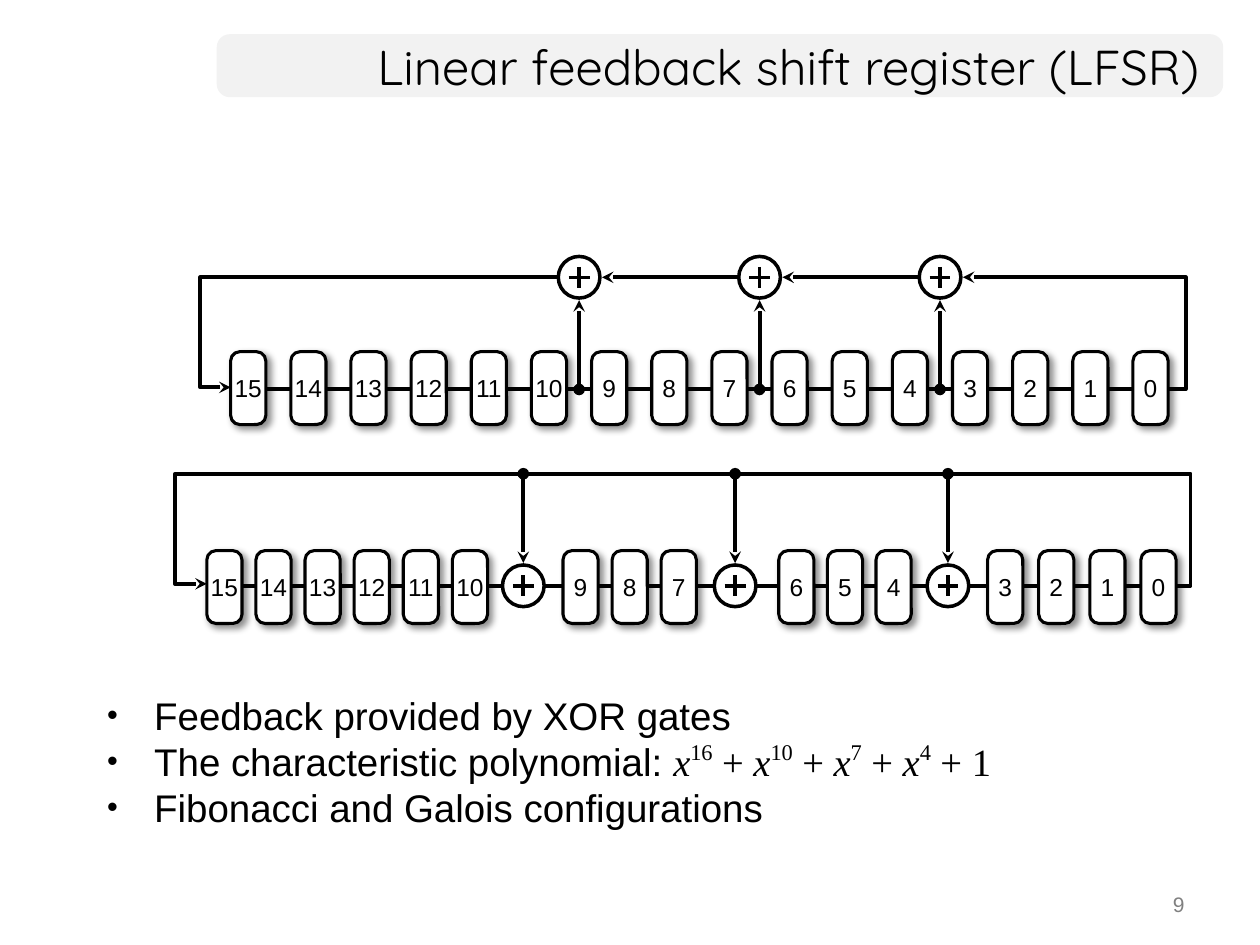
from lxml import etree
from pptx import Presentation
from pptx.dml.color import RGBColor
from pptx.enum.shapes import MSO_CONNECTOR, MSO_SHAPE
from pptx.enum.text import MSO_ANCHOR, PP_ALIGN
from pptx.oxml.ns import qn
from pptx.util import Cm, Pt

BLACK = RGBColor(0x00, 0x00, 0x00)
WHITE = RGBColor(0xFF, 0xFF, 0xFF)
GREY = RGBColor(0x80, 0x80, 0x80)
BAND = RGBColor(0xF2, 0xF2, 0xF2)

ROUND_RECT, OVAL = MSO_SHAPE.ROUNDED_RECTANGLE, MSO_SHAPE.OVAL
STRAIGHT = MSO_CONNECTOR.STRAIGHT
CENTER, RIGHT = PP_ALIGN.CENTER, PP_ALIGN.RIGHT
MIDDLE = MSO_ANCHOR.MIDDLE

# Register parts, in cm
CELL_W, CELL_H = 0.71, 1.47
XOR_R, PLUS_R = 0.42, 0.21
ARROW_GAP = 0.04

BODY = dict(name="Arial", size=Pt(22))
MATH = dict(name="Times New Roman", size=Pt(22))
CELL_FONT = dict(name="Arial", size=Pt(14))


def add_run(p, text, font, color=BLACK):
    r = p.add_run()
    r.text = text
    for key, value in font.items():
        setattr(r.font, key, value)
    r.font.color.rgb = color
    return r


def set_frame(tf, left=0, right=0, wrap=True):
    margins = dict(margin_left=Cm(left), margin_right=Cm(right),
                   margin_top=0, margin_bottom=0)
    for key, value in dict(margins, word_wrap=wrap, vertical_anchor=MIDDLE).items():
        setattr(tf, key, value)
    return tf.paragraphs[0]


def add_wire(shapes, points, head=None, tail=None, width=2.25):
    """Draw a line through points given in cm, with optional end marks."""
    pts = [(Cm(x), Cm(y)) for x, y in points]
    if len(pts) == 2:
        wire = shapes.add_connector(STRAIGHT, *pts[0], *pts[1])
    else:
        builder = shapes.build_freeform(*pts[0])
        builder.add_line_segments(pts[1:], close=False)
        wire = builder.convert_to_shape()
        wire.fill.background()
    wire.line.color.rgb = BLACK
    wire.line.width = Pt(width)
    spPr = wire.element.spPr
    ln = spPr.find(qn("a:ln"))
    for tag, mark in (("a:headEnd", head), ("a:tailEnd", tail)):
        if mark:
            etree.SubElement(ln, qn(tag), type=mark)
    etree.SubElement(spPr, qn("a:effectLst"))


def add_outlined(shapes, kind, x, y, w, h, width):
    sp = shapes.add_shape(kind, Cm(x), Cm(y), Cm(w), Cm(h))
    sp.shadow.inherit = False
    sp.fill.solid()
    sp.fill.fore_color.rgb = WHITE
    sp.line.color.rgb = BLACK
    sp.line.width = Pt(width)
    return sp


def add_cell(shapes, x, y, bit):
    sp = add_outlined(shapes, ROUND_RECT, x, y, CELL_W, CELL_H, 1.75)
    sp.adjustments[0] = 0.262
    effects = sp.element.spPr.find(qn("a:effectLst"))
    shadow = etree.SubElement(effects, qn("a:outerShdw"), blurRad=str(Pt(4)),
                              dist=str(Pt(3)), dir="2700000", algn="tl",
                              rotWithShape="0")
    color = etree.SubElement(shadow, qn("a:srgbClr"), val=str(BLACK))
    etree.SubElement(color, qn("a:alpha"), val="43000")
    p = set_frame(sp.text_frame, wrap=False)
    p.alignment = CENTER
    add_run(p, str(bit), CELL_FONT)


def add_xor(shapes, x, y, plus_width):
    add_outlined(shapes, OVAL, x - XOR_R, y - XOR_R, 2 * XOR_R, 2 * XOR_R, 2)
    add_wire(shapes, [(x, y - PLUS_R), (x, y + PLUS_R)], width=plus_width)
    add_wire(shapes, [(x - PLUS_R, y), (x + PLUS_R, y)], width=plus_width)


def add_fibonacci(slide, left, top, width, height):
    """Taps on the shift wire feed XOR gates on the feedback wire above."""
    shapes = slide.shapes.add_group_shape().shapes
    right, bottom = left + width, top + height
    first, pitch = left + 0.61, 18.19 / 15
    cells = [first + i * pitch for i in range(16)]
    gates = [(cells[i] + CELL_W + cells[i + 1]) / 2 for i in (5, 8, 11)]
    reach = XOR_R + ARROW_GAP

    add_wire(shapes, [(first, bottom), (right, bottom), (right, top),
                      (gates[-1] + reach, top)], tail="stealth")
    for gate, source in zip(gates, gates[1:]):
        add_wire(shapes, [(source - XOR_R, top), (gate + reach, top)], tail="stealth")
    add_wire(shapes, [(gates[0] - XOR_R, top), (left, top), (left, bottom - 0.04),
                      (first, bottom - 0.04)], tail="stealth")
    for x in gates:
        add_wire(shapes, [(x, bottom), (x, top + reach)], head="oval", tail="stealth")
        add_xor(shapes, x, top, 2)
    for i, x in enumerate(cells):
        add_cell(shapes, x, top + 1.5, 15 - i)


def add_galois(slide, left, top, width, height):
    """The feedback wire feeds XOR gates placed between runs of cells."""
    shapes = slide.shapes.add_group_shape().shapes
    right, bottom = left + width, top + height
    first = left + 0.64
    # offset of the first cell, pitch, highest bit, number of cells
    runs = [(0.64, 0.99, 15, 6), (7.82, 0.99, 9, 3),
            (12.17, 0.98, 6, 3), (16.38, 1.03, 3, 4)]

    add_wire(shapes, [(first + 0.4, bottom), (right, bottom), (right, top), (left, top),
                      (left, bottom - 0.04), (first, bottom - 0.04)], tail="stealth")
    for offset in (7.02, 11.29, 15.58):
        x = left + offset
        add_wire(shapes, [(x, top), (x, bottom - XOR_R - ARROW_GAP)],
                 head="oval", tail="stealth")
        add_xor(shapes, x, bottom, 2.25)
    for offset, pitch, high, count in runs:
        for i in range(count):
            add_cell(shapes, left + offset + i * pitch, top + 1.55, high - i)


def add_title(slide, left, top, width, height):
    sp = slide.shapes.add_shape(ROUND_RECT, Cm(left), Cm(top), Cm(width), Cm(height))
    sp.shadow.inherit = False
    sp.adjustments[0] = 0.208
    sp.fill.solid()
    sp.fill.fore_color.rgb = BAND
    sp.line.fill.background()
    p = set_frame(sp.text_frame, right=0.41)
    p.alignment = RIGHT
    add_run(p, "Linear feedback shift register (LFSR)",
            dict(name="Quicksand", size=Pt(28)))


def add_bullet(p):
    pPr = p._p.get_or_add_pPr()
    pPr.set("marL", str(Cm(0.95)))
    pPr.set("indent", str(-Cm(0.95)))
    color = etree.SubElement(pPr, qn("a:buClr"))
    etree.SubElement(color, qn("a:srgbClr"), val=str(BLACK))
    etree.SubElement(pPr, qn("a:buSzPct"), val="80000")
    etree.SubElement(pPr, qn("a:buFont"), typeface="Arial")
    etree.SubElement(pPr, qn("a:buChar"), char="•")


def add_notes_list(slide, left, top, width, height):
    tf = slide.shapes.add_textbox(Cm(left), Cm(top), Cm(width), Cm(height)).text_frame
    tf.word_wrap = True
    feedback, polynomial, kinds = tf.paragraphs[0], tf.add_paragraph(), tf.add_paragraph()
    for p in (feedback, polynomial, kinds):
        add_bullet(p)
    add_run(feedback, "Feedback provided by XOR gates", BODY)
    add_run(polynomial, "The characteristic polynomial: ", BODY)
    for exponent in (16, 10, 7, 4):
        add_run(polynomial, "x", dict(MATH, italic=True))
        r = add_run(polynomial, str(exponent), MATH)
        r.font._element.set("baseline", "42000")
        add_run(polynomial, " + 1" if exponent == 4 else " + ", MATH)
    add_run(kinds, "Fibonacci and Galois configurations", BODY)


def add_page_number(slide, left, top, width, height):
    box = slide.shapes.add_textbox(Cm(left), Cm(top), Cm(width), Cm(height))
    p = set_frame(box.text_frame, right=0.25)
    p.alignment = RIGHT
    add_run(p, "9", dict(name="Arial", size=Pt(12)), GREY)


def main():
    prs = Presentation()
    prs.slide_width, prs.slide_height = Cm(25.4), Cm(19.05)
    slide = prs.slides.add_slide(prs.slide_layouts[6])
    add_title(slide, 4.37, 0.69, 20.29, 1.27)
    add_fibonacci(slide, 4.04, 5.59, 19.86, 2.26)
    add_galois(slide, 3.53, 9.55, 20.47, 2.26)
    add_notes_list(slide, 1.91, 13.82, 22.3, 3.63)
    add_page_number(slide, 18.21, 17.78, 5.92, 0.89)
    prs.save("out.pptx")


if __name__ == "__main__":
    main()
